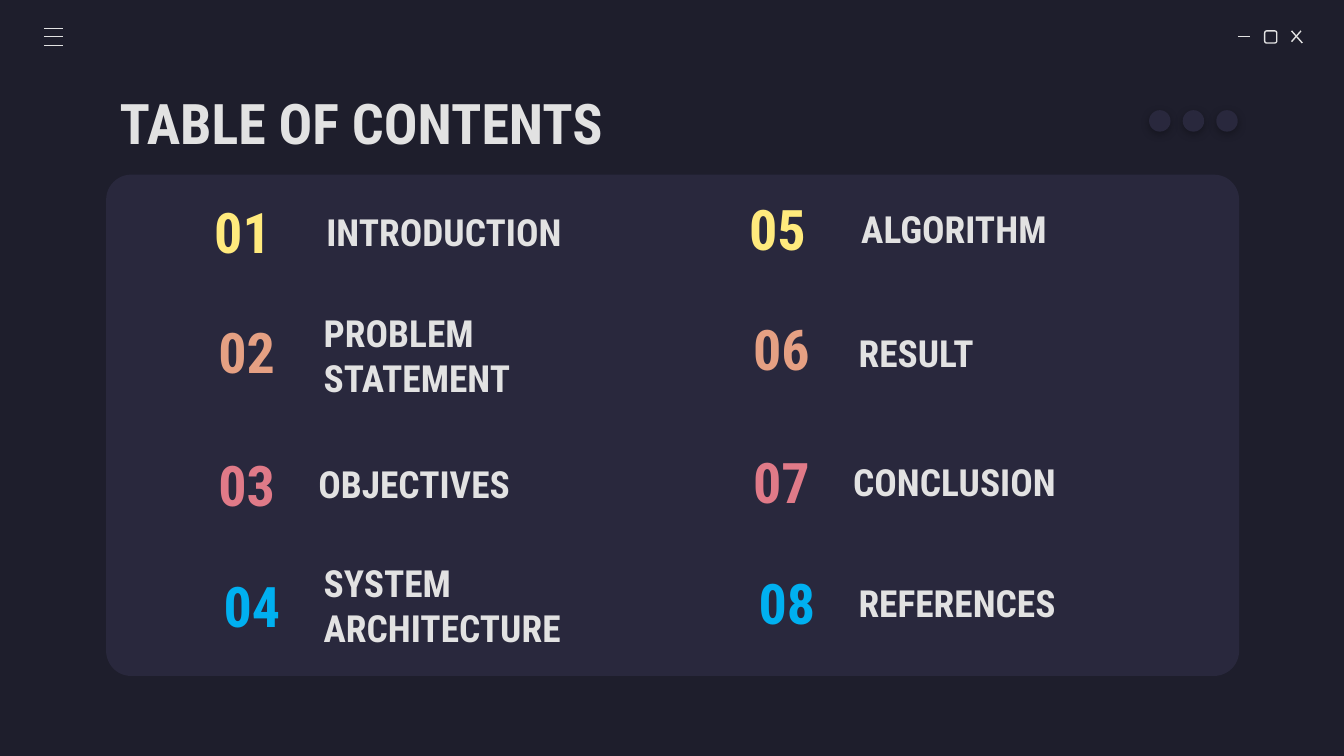
from lxml.etree import SubElement
from pptx import Presentation
from pptx.dml.color import RGBColor
from pptx.enum.shapes import MSO_CONNECTOR as Connector, MSO_SHAPE as Shape
from pptx.enum.text import MSO_ANCHOR as Anchor, MSO_AUTO_SIZE as AutoSize, PP_ALIGN as Align
from pptx.oxml.ns import qn
from pptx.util import Inches, Pt

FONT = "Roboto Condensed"
BACKGROUND, PANEL, LIGHT = "1E1E2C", "29283D", "E2E2E2"
COLUMN_SHIFT, ROW_SHIFT = 3.98, -0.02

# Number colour, number left and top, label left, top and width
ROWS = [
    ("FFEA7D", 1.35, 1.44, 2.33, 1.44, 2.67),
    ("E5A083", 1.38, 2.33, 2.31, 2.36, 2.69),
    ("E07A88", 1.38, 3.32, 2.27, 3.32, 2.94),
    ("00B0F0", 1.42, 4.22, 2.31, 4.22, 2.56),
]
COLUMNS = [
    ["INTRODUCTION", "PROBLEM STATEMENT", "OBJECTIVES", "SYSTEM ARCHITECTURE"],
    ["ALGORITHM", "RESULT", "CONCLUSION", "REFERENCES"],
]


def colour(hex_text):
    return RGBColor.from_string(hex_text)


def inches(*lengths):
    return [Inches(length) for length in lengths]


def write(box, text, size=20, color=LIGHT, align=Align.LEFT):
    frame = box.text_frame
    frame.word_wrap = True
    frame.auto_size = AutoSize.NONE
    frame.vertical_anchor = Anchor.MIDDLE
    frame.margin_left = frame.margin_right = Inches(0.1)
    frame.margin_top = frame.margin_bottom = Inches(0.1)
    para = frame.paragraphs[0]
    para.alignment = align
    span = para.add_run()
    span.text = text
    span.font.name = FONT
    span.font.size = Pt(size)
    span.font.bold = True
    span.font.color.rgb = colour(color)


def add_text(page, left, top, width, text, **style):
    box = page.shapes.add_textbox(*inches(left, top, width, 0.56))
    write(box, text, **style)


def add_shape(page, kind, left, top, width, height, fill=None, line=None):
    shape = page.shapes.add_shape(kind, *inches(left, top, width, height))
    shape.shadow.inherit = False
    if fill:
        shape.fill.solid()
        shape.fill.fore_color.rgb = colour(fill)
    else:
        shape.fill.background()
    if line:
        shape.line.color.rgb = colour(line)
        shape.line.width = Pt(0.75)
    else:
        shape.line.fill.background()
    return shape


def add_line(page, x1, y1, x2, y2):
    line = page.shapes.add_connector(Connector.STRAIGHT, *inches(x1, y1, x2, y2))
    line.line.color.rgb = colour(LIGHT)
    line.line.width = Pt(0.75)
    SubElement(line._element.spPr, qn("a:effectLst"))


def add_soft_shadow(shape):
    effects = shape._element.spPr.find(qn("a:effectLst"))
    shadow = SubElement(effects, qn("a:outerShdw"), blurRad=str(Pt(4.5)),
                        dist=str(Pt(1.5)), dir="5400000", algn="bl", rotWithShape="0")
    black = SubElement(shadow, qn("a:srgbClr"), val="000000")
    SubElement(black, qn("a:alpha"), val="30000")


def add_window_icons(page):
    # Minimise, maximise, close
    add_line(page, 9.21, 0.27, 9.3, 0.27)
    add_shape(page, Shape.ROUNDED_RECTANGLE, 9.41, 0.23, 0.09, 0.09, line=LIGHT)
    add_line(page, 9.61, 0.23, 9.69, 0.32)
    add_line(page, 9.68, 0.23, 9.61, 0.31)
    # Menu
    for y in (0.21, 0.27, 0.34):
        add_line(page, 0.33, y, 0.47, y)
    # Dots above the panel
    for index in range(3):
        dot = add_shape(page, Shape.OVAL, 8.55 + 0.25 * index, 0.82, 0.16, 0.16, fill=PANEL)
        add_soft_shadow(dot)


def add_contents(page):
    for column, labels in enumerate(COLUMNS):
        dx, dy = column * COLUMN_SHIFT, column * ROW_SHIFT
        for row, (label, place) in enumerate(zip(labels, ROWS)):
            color, number_left, number_top, label_left, label_top, width = place
            number = column * len(ROWS) + row + 1
            add_text(page, number_left + dx, number_top + dy, 0.91, f"{number:02d}",
                     size=30, color=color, align=Align.CENTER)
            add_text(page, label_left + dx, label_top + dy, width, label)


def main():
    # Widescreen page, 16 to 9
    deck = Presentation()
    deck.slide_width = Inches(10)
    deck.slide_height = Inches(10 * 9 / 16)
    page = deck.slides.add_slide(deck.slide_layouts[5])
    page.background.fill.solid()
    page.background.fill.fore_color.rgb = colour(BACKGROUND)

    # Title
    title = page.shapes.title
    title.left, title.top, title.width, title.height = inches(0.79, 0.59, 8.43, 0.63)
    write(title, "TABLE OF CONTENTS", size=30)

    # Panel, icons and entries
    panel = add_shape(page, Shape.ROUNDED_RECTANGLE, 0.79, 1.3, 8.43, 3.73, fill=PANEL)
    panel.adjustments[0] = 0.05
    add_window_icons(page)
    add_contents(page)
    deck.save("out.pptx")


main()
